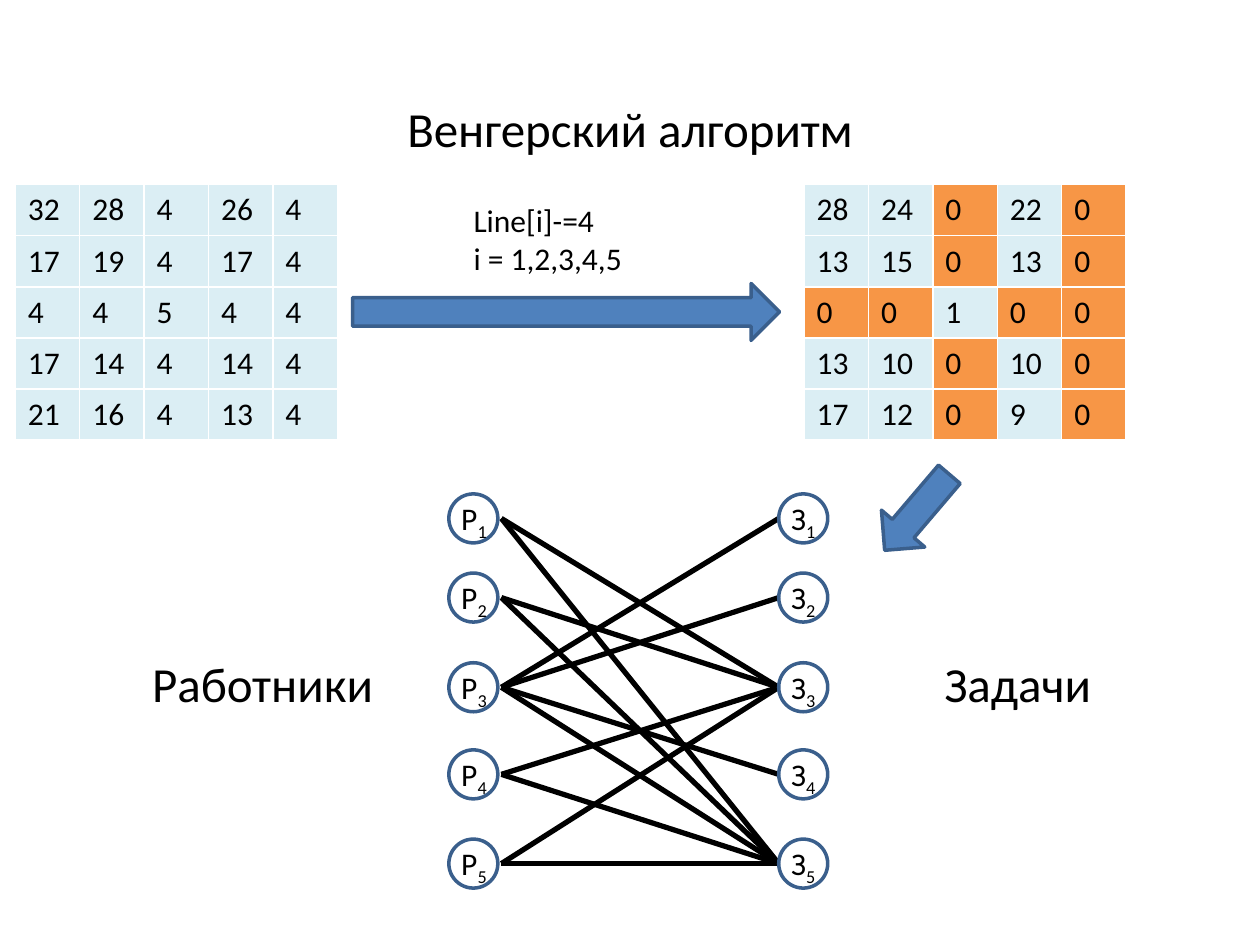
from pptx import Presentation
from pptx.dml.color import RGBColor
from pptx.enum.shapes import MSO_CONNECTOR as CONN, MSO_SHAPE as SHAPE
from pptx.enum.text import MSO_ANCHOR as ANCHOR, MSO_AUTO_SIZE as AUTO, PP_ALIGN as ALIGN
from pptx.oxml.ns import qn
from pptx.util import Pt
from lxml import etree


def color(hex_color):
    return RGBColor.from_string(hex_color)


def add_run(p, text, size=18):
    r = p.add_run()
    r.text = text
    r.font.size = Pt(size)
    r.font.name = "Calibri"
    r.font.bold = False
    r.font.color.rgb = color("000000")
    return r


prs = Presentation()
prs.slide_width, prs.slide_height = Pt(720), Pt(540)
s = prs.slides.add_slide(prs.slide_layouts[5])

# Title and the two side captions
title = s.shapes.title
title.left, title.top, title.width, title.height = Pt(54), Pt(15), Pt(612), Pt(116)
captions = [(title, "Венгерский алгоритм")]
for left, text in [(54, "Работники"), (485.5, "Задачи")]:
    captions.append((s.shapes.add_textbox(Pt(left), Pt(332.5), Pt(192), Pt(116)), text))
for sp, text in captions:
    tf = sp.text_frame
    tf.word_wrap = True
    tf.vertical_anchor = ANCHOR.MIDDLE
    p = tf.paragraphs[0]
    p.alignment = ALIGN.CENTER
    add_run(p, text, 28)

# Cost matrix before and after subtracting the row minimum
costs = [
    [32, 28, 4, 26, 4],
    [17, 19, 4, 17, 4],
    [4, 4, 5, 4, 4],
    [17, 14, 4, 14, 4],
    [21, 16, 4, 13, 4],
]
reduced = [[cost - min(row) for cost in row] for row in costs]
for left, matrix in [(8.75, costs), (459.5, reduced)]:
    table = s.shapes.add_table(5, 5, Pt(left), Pt(105.5), Pt(184), Pt(146)).table
    table.horz_banding = False
    for i, row in enumerate(matrix):
        table.rows[i].height = Pt(29.2)
        table.columns[i].width = Pt(36.8)
        for j, value in enumerate(row):
            cell = table.cell(i, j)
            cell.fill.solid()
            cell.fill.fore_color.rgb = color("DBEEF4" if value else "F79646")
            add_run(cell.text_frame.paragraphs[0], str(value))

# Step description
sp = s.shapes.add_textbox(Pt(263.5), Pt(111.5), Pt(147.5), Pt(51))
tf = sp.text_frame
tf.word_wrap = True
add_run(tf.paragraphs[0], "Line[i]-=4")
add_run(tf.add_paragraph(), "i = 1,2,3,4,5")

# Block arrows between the steps
for left, top, width, height, angle in [
    (201.5, 162, 244, 32.5, 0),
    (495.5, 276.5, 57, 32.5, 130.4),
]:
    sp = s.shapes.add_shape(SHAPE.RIGHT_ARROW, Pt(left), Pt(top), Pt(width), Pt(height))
    sp.rotation = angle
    sp.shadow.inherit = False
    sp.fill.solid()
    sp.fill.fore_color.rgb = color("4F81BD")
    sp.line.color.rgb = color("3A5F8C")
    sp.line.width = Pt(2)

# Graph edges: one for each zero of the reduced matrix
node_size = 28
node_tops = [282.25, 327.5, 378.75, 428.5, 479.5]
workers_left, tasks_left = 256.5, 445
for i, row in enumerate(reduced):
    for j, value in enumerate(row):
        if value == 0:
            edge = s.shapes.add_connector(
                CONN.STRAIGHT,
                Pt(tasks_left), Pt(node_tops[j] + node_size / 2),
                Pt(workers_left + 30), Pt(node_tops[i] + node_size / 2))
            edge.line.color.rgb = color("000000")
            edge.line.width = Pt(3)
            etree.SubElement(edge._element.spPr, qn("a:effectLst"))

# Graph nodes with their labels
for left, letter in [(workers_left, "Р"), (tasks_left, "З")]:
    for number, top in enumerate(node_tops, 1):
        node = s.shapes.add_shape(SHAPE.OVAL, Pt(left), Pt(top), Pt(node_size), Pt(node_size))
        node.shadow.inherit = False
        node.fill.solid()
        node.fill.fore_color.rgb = color("FFFFFF")
        node.line.color.rgb = color("3A5F8C")
        node.line.width = Pt(2)
        label = s.shapes.add_textbox(Pt(left), Pt(top - 0.75), Pt(30), Pt(29))
        tf = label.text_frame
        tf.word_wrap = False
        tf.auto_size = AUTO.SHAPE_TO_FIT_TEXT
        p = tf.paragraphs[0]
        add_run(p, letter)
        r = add_run(p, str(number))
        r.font._element.set("baseline", "-25000")

prs.save("out.pptx")
